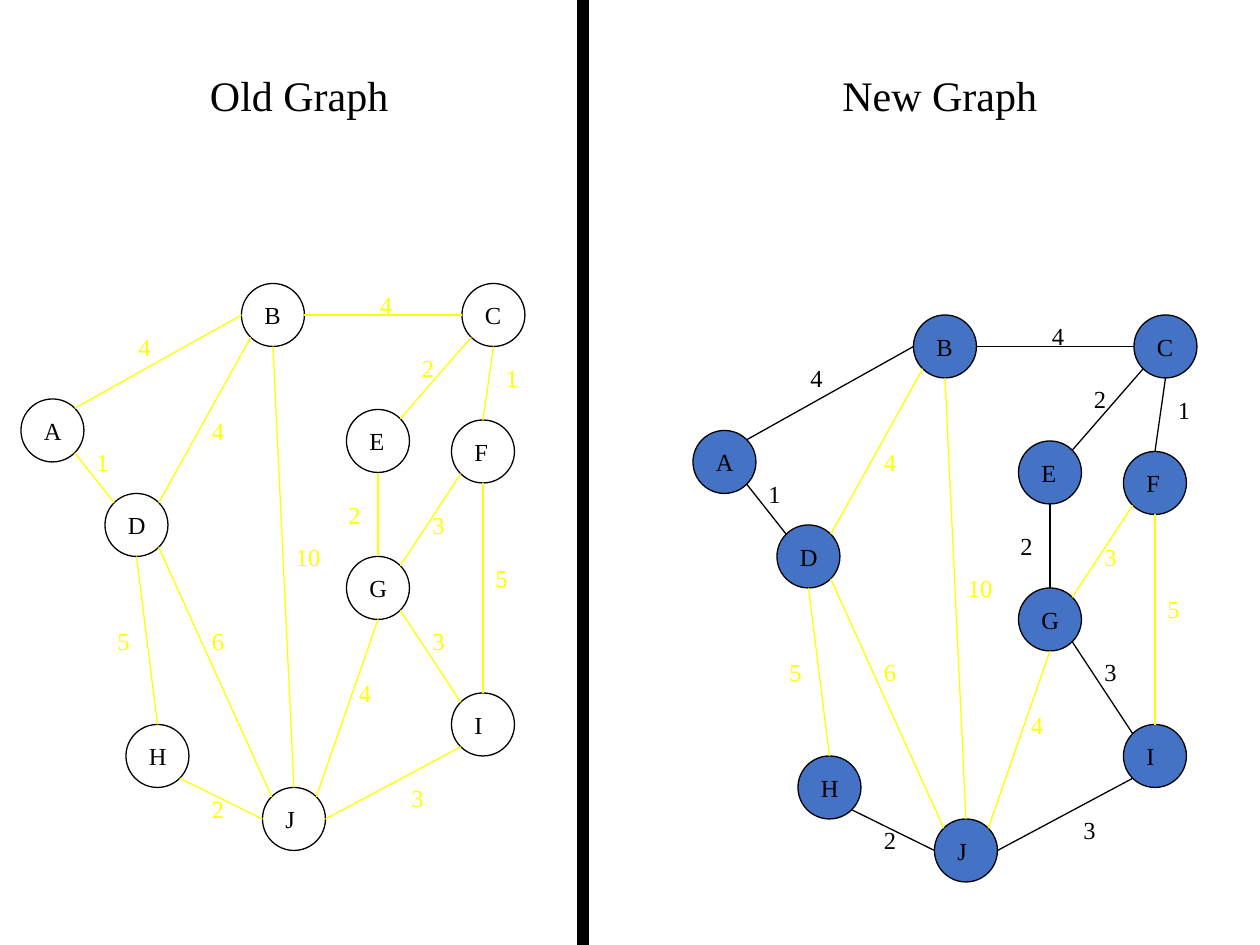
from dataclasses import dataclass
from math import sqrt

from lxml.etree import SubElement
from pptx import Presentation
from pptx.dml.color import RGBColor
from pptx.enum.shapes import MSO_CONNECTOR, MSO_SHAPE
from pptx.enum.text import MSO_AUTO_SIZE, PP_ALIGN
from pptx.oxml.ns import qn
from pptx.util import Inches, Pt


@dataclass(frozen=True)
class Theme:
    font: str = "Times New Roman"
    title: int = 24
    label: int = 14
    rule: float = 0.75
    ink: str = "000000"
    pale: str = "FFFF00"
    fill: str = "4472C4"


LOOK = Theme()
COLS, ROWS = 120, 90  # grid cells of 1/12 inch
SIZE = 6  # node diameter in cells
HIGH = 4  # label height in cells

# Node: column, row, width of its letter in ems
NODES = {
    "A": (2, 38, 0.72), "B": (23, 27, 0.67), "C": (44, 27, 0.67),
    "D": (10, 47, 0.72), "E": (33, 39, 0.61), "F": (43, 40, 0.56),
    "G": (33, 53, 0.72), "H": (12, 69, 0.72), "I": (43, 66, 0.33),
    "J": (25, 75, 0.39),
}

# Edge: node and side at each end, weight, label column and row, kept in new graph
EDGES = [
    ("B", "E", "C", "W", 4, 35, 27, True),
    ("B", "SW", "D", "NE", 4, 19, 39, False),
    ("D", "SE", "J", "NW", 6, 19, 59, False),
    ("J", "NE", "G", "S", 4, 33, 64, False),
    ("F", "SW", "G", "NE", 3, 40, 48, False),
    ("E", "S", "G", "N", 2, 32, 47, True),
    ("B", "S", "J", "N", 10, 27, 51, False),
    ("C", "SW", "E", "NE", 2, 39, 33, True),
    ("C", "S", "F", "N", 1, 47, 34, True),
    ("J", "E", "I", "SW", 3, 38, 74, True),
    ("J", "W", "H", "SE", 2, 19, 75, True),
    ("D", "NW", "A", "SE", 1, 8, 42, True),
    ("I", "NW", "G", "SE", 3, 40, 59, True),
    ("F", "S", "I", "N", 5, 46, 53, False),
    ("A", "NE", "B", "W", 4, 12, 31, True),
    ("D", "S", "H", "N", 5, 10, 59, False),
]


def cell(*nums):
    return [Inches(num / 12) for num in nums]


def paint(line, color):
    line.color.rgb = RGBColor.from_string(color)
    line.width = Pt(LOOK.rule)


def draw_shape(slide, kind, box, fill=None):
    shape = slide.shapes.add_shape(kind, *cell(*box))
    shape.shadow.inherit = False
    if fill:
        shape.fill.solid()
        shape.fill.fore_color.rgb = RGBColor.from_string(fill)
    else:
        shape.fill.background()
    paint(shape.line, LOOK.ink)


def draw_line(slide, start, end, color):
    line = slide.shapes.add_connector(MSO_CONNECTOR.STRAIGHT, *cell(*start, *end))
    paint(line.line, color)
    SubElement(line._element.spPr, qn("a:effectLst"))


def write(slide, text, box, size=LOOK.label, color=LOOK.ink,
          align=PP_ALIGN.LEFT, wrap=False):
    frame = slide.shapes.add_textbox(*cell(*box)).text_frame
    frame.word_wrap = wrap
    frame.auto_size = MSO_AUTO_SIZE.SHAPE_TO_FIT_TEXT
    para = frame.paragraphs[0]
    para.alignment = align
    run = para.add_run()
    run.text = text
    run.font.name = LOOK.font
    run.font.size = Pt(size)
    run.font.color.rgb = RGBColor.from_string(color)


def wide(ems):
    """Label width in cells: the glyphs plus 0.1 inch on both sides."""
    return 12 * (0.2 + ems * LOOK.label / 72)


def rim(name, side):
    """Point on a node's circle in a compass direction."""
    col, row, _ = NODES[name]
    reach = SIZE / 2 / sqrt(len(side))
    east = ("E" in side) - ("W" in side)
    south = ("S" in side) - ("N" in side)
    return col + SIZE / 2 + east * reach, row + SIZE / 2 + south * reach


def draw_graph(slide, right=0, down=0, fill=None, tree=False):
    def move(col, row):
        return col + right, row + down

    # Nodes
    for col, row, _ in NODES.values():
        draw_shape(slide, MSO_SHAPE.OVAL, (*move(col, row), SIZE, SIZE), fill)

    # Edges and weights
    for head, out, tail, into, weight, col, row, kept in EDGES:
        color = LOOK.ink if tree and kept else LOOK.pale
        draw_line(slide, move(*rim(head, out)), move(*rim(tail, into)), color)
        text = str(weight)
        box = (*move(col, row), wide(len(text) / 2), HIGH)
        write(slide, text, box, color=color)

    # Node letters
    for name, (col, row, ems) in NODES.items():
        write(slide, name, (*move(col + 1, row + 1), wide(ems), HIGH))


def main():
    deck = Presentation()
    deck.slide_width, deck.slide_height = cell(COLS, ROWS)
    slide = deck.slides.add_slide(deck.slide_layouts[6])

    # Titles
    for text, col in (("Old Graph", 11), ("New Graph", 72)):
        write(slide, text, (col, 6, 35, 6), size=LOOK.title,
              align=PP_ALIGN.CENTER, wrap=True)

    # Divider and the two graphs
    draw_shape(slide, MSO_SHAPE.RECTANGLE, (55, 0, 1, ROWS), LOOK.ink)
    draw_graph(slide)
    draw_graph(slide, right=64, down=3, fill=LOOK.fill, tree=True)

    deck.save("out.pptx")


if __name__ == "__main__":
    main()
